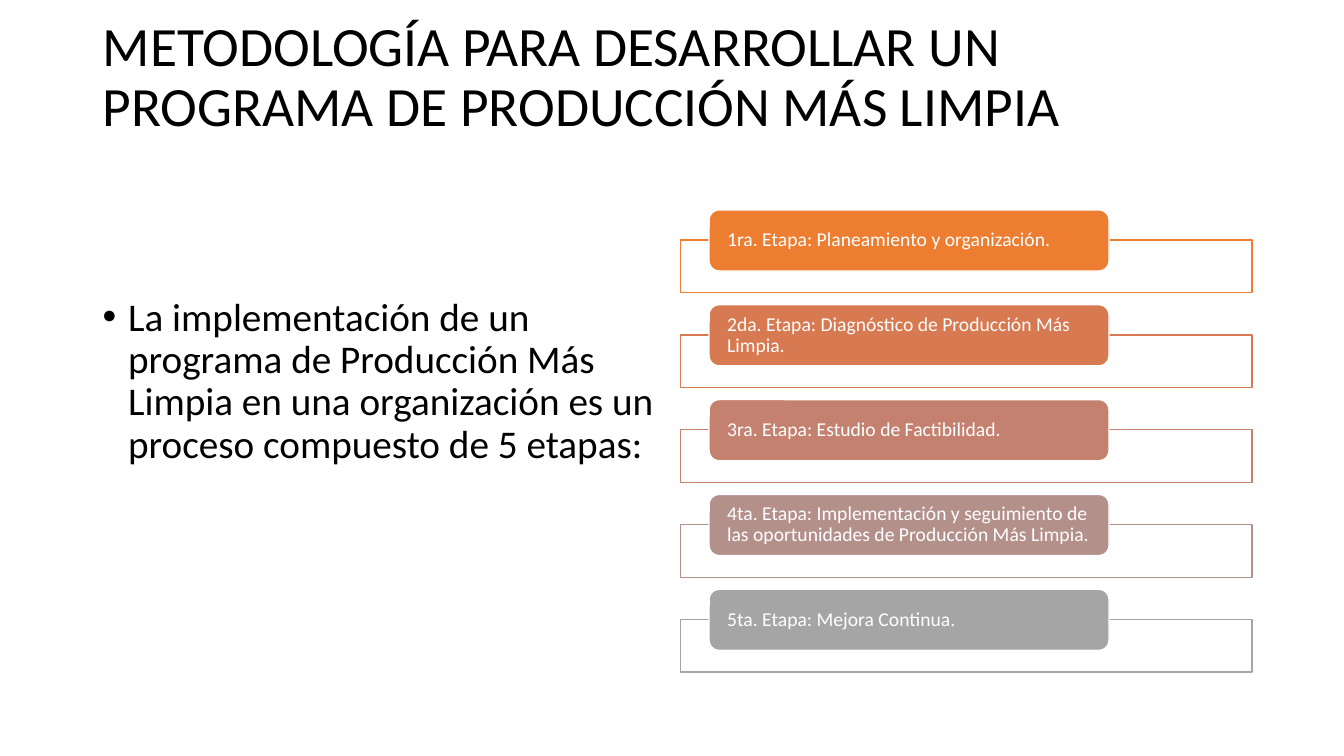
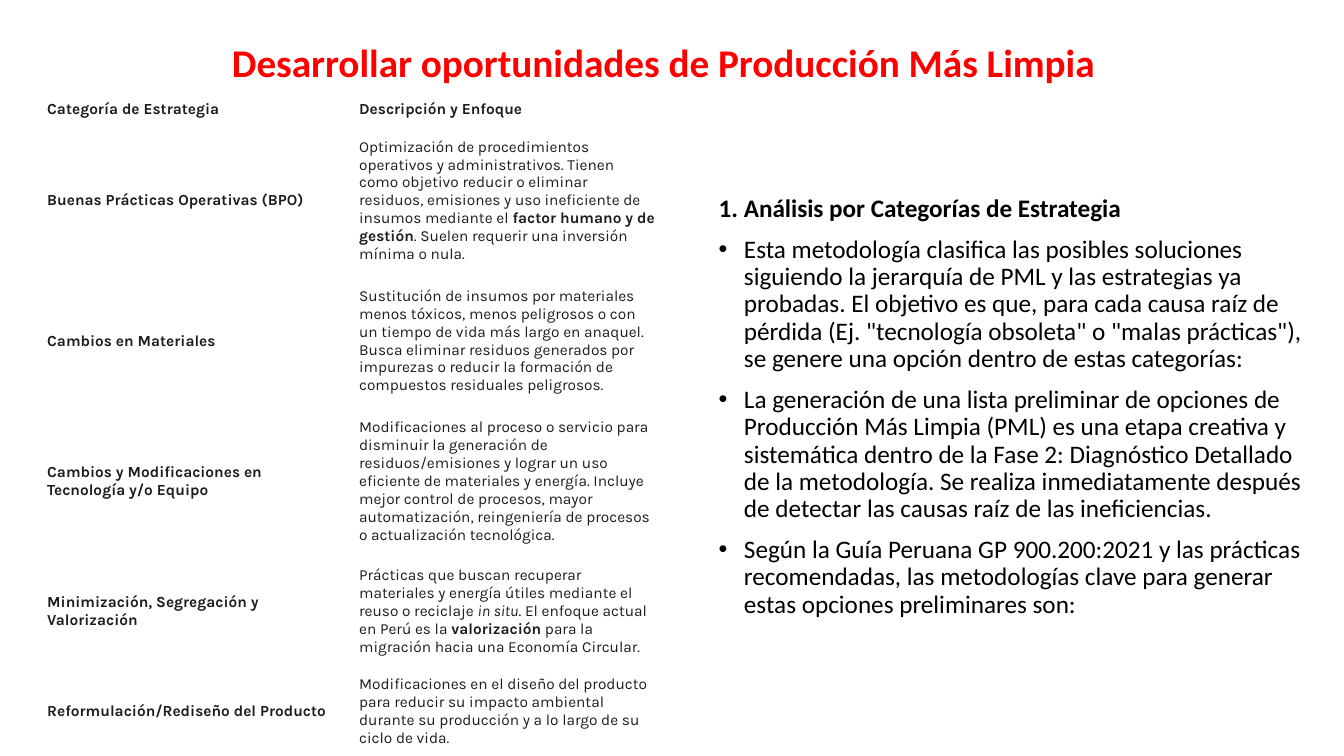
from lxml import etree
from pptx import Presentation
from pptx.dml.color import RGBColor
from pptx.enum import shapes, text
from pptx.oxml import ns
from pptx.util import Cm, Pt

BLACK, WHITE, RED, INK = "000000", "FFFFFF", "FF0000", "1B1C1D"
BODY_FONT, TABLE_FONT = "Calibri", "Karla"

STAGES = [
    ("1ra. Etapa: Planeamiento y organización.", "ED7D31"),
    ("2da. Etapa: Diagnóstico de Producción Más Limpia.", "D87A51"),
    ("3ra. Etapa: Estudio de Factibilidad.", "C48170"),
    ("4ta. Etapa: Implementación y seguimiento de las oportunidades "
     "de Producción Más Limpia.", "B4908B"),
    ("5ta. Etapa: Mejora Continua.", "A5A5A5"),
]

# Each row: height in cm, then two cells made of (text, style) runs
STRATEGIES = [
    (0.81, [("Categoría de Estrategia", "b")], [("Descripción y Enfoque", "b")]),
    (3.78, [("Buenas Prácticas Operativas (BPO)", "b")], [
        ("Optimización de procedimientos operativos y administrativos. Tienen como "
         "objetivo reducir o eliminar residuos, emisiones y uso ineficiente de "
         "insumos mediante el ", ""),
        ("factor humano y de gestión", "b"),
        (". Suelen requerir una inversión mínima o nula.", "")]),
    (3.28, [("Cambios en Materiales", "b")], [
        ("Sustitución de insumos por materiales menos tóxicos, menos peligrosos o con "
         "un tiempo de vida más largo en anaquel. Busca eliminar residuos generados "
         "por impurezas o reducir la formación de compuestos residuales "
         "peligrosos.", "")]),
    (3.78, [("Cambios y Modificaciones en Tecnología y/o Equipo", "b")], [
        ("Modificaciones al proceso o servicio para disminuir la generación de "
         "residuos/emisiones y lograr un uso eficiente de materiales y energía. "
         "Incluye mejor control de procesos, mayor automatización, reingeniería de "
         "procesos o actualización tecnológica.", "")]),
    (2.77, [("Minimización, Segregación y Valorización", "b")], [
        ("Prácticas que buscan recuperar materiales y energía útiles mediante el "
         "reuso o reciclaje ", ""),
        ("in situ", "i"),
        (". El enfoque actual en Perú es la ", ""),
        ("valorización", "b"),
        (" para la migración hacia una Economía Circular.", "")]),
    (2.29, [("Reformulación/Rediseño del Producto", "b")], [
        ("Modificaciones en el diseño del producto para reducir su impacto ambiental "
         "durante su producción y a lo largo de su ciclo de vida.", "")]),
]

ANALYSIS_HEADING = "1. Análisis por Categorías de Estrategia"
ANALYSIS_POINTS = [
    "Esta metodología clasifica las posibles soluciones siguiendo la jerarquía de PML "
    "y las estrategias ya probadas. El objetivo es que, para cada causa raíz de "
    "pérdida (Ej. \"tecnología obsoleta\" o \"malas prácticas\"), se genere una opción "
    "dentro de estas categorías:",
    "La generación de una lista preliminar de opciones de Producción Más Limpia (PML) "
    "es una etapa creativa y sistemática dentro de la Fase 2: Diagnóstico Detallado de "
    "la metodología. Se realiza inmediatamente después de detectar las causas raíz de "
    "las ineficiencias.",
    "Según la Guía Peruana GP 900.200:2021 y las prácticas recomendadas, las "
    "metodologías clave para generar estas opciones preliminares son:",
]


def rgb(value):
    return RGBColor.from_string(value)


def style_font(font, size, color, name=BODY_FONT, bold=False, italic=False):
    font.name, font.size, font.bold, font.italic = name, Pt(size), bold, italic
    font.color.rgb = rgb(color)


def add_bullet(paragraph):
    properties = paragraph._p.get_or_add_pPr()
    properties.set("marL", str(Cm(0.64)))
    properties.set("indent", str(-Cm(0.64)))
    etree.SubElement(properties, ns.qn("a:buFont")).set("typeface", "Arial")
    etree.SubElement(properties, ns.qn("a:buChar")).set("char", "•")


class Deck:
    """Presentation, its shared style and the slide being filled."""

    def __init__(self):
        self.presentation = Presentation()
        self.presentation.slide_width = Cm(33.87)
        self.presentation.slide_height = Cm(19.05)
        self.slide = None

    def new_slide(self):
        self.slide = self.presentation.slides.add_slide(
            self.presentation.slide_layouts[6])

    def text_frame(self, left, top, width, height):
        box = self.slide.shapes.add_textbox(Cm(left), Cm(top), Cm(width), Cm(height))
        box.text_frame.word_wrap = True
        return box.text_frame

    def title(self, wording, area, size, color=BLACK, bold=False,
              align=text.PP_ALIGN.LEFT):
        frame = self.text_frame(*area)
        frame.vertical_anchor = text.MSO_ANCHOR.MIDDLE
        frame.text = wording
        line = frame.paragraphs[0]
        line.alignment, line.line_spacing = align, 0.9
        style_font(line.runs[0].font, size, color, bold=bold)

    def body(self, points, area, size, heading=None):
        """Bulleted points, under an optional bold heading."""
        frame = self.text_frame(*area)
        for i, wording in enumerate([heading] * bool(heading) + points):
            paragraph = frame.add_paragraph() if i else frame.paragraphs[0]
            paragraph.text = wording
            is_heading = wording == heading
            if not is_heading:
                add_bullet(paragraph)
            paragraph.line_spacing = 0.9
            if i:
                paragraph.space_before = Pt(10)
            style_font(paragraph.runs[0].font, size, BLACK, bold=is_heading)

    def box(self, kind, area, fill, line):
        shape = self.slide.shapes.add_shape(kind, *map(Cm, area))
        shape.shadow.inherit = False
        shape.fill.solid()
        shape.fill.fore_color.rgb = rgb(fill)
        shape.line.color.rgb = rgb(line)
        shape.line.width = Pt(1)
        return shape

    def stage(self, wording, color, top):
        """Outlined frame with a rounded label over its upper edge."""
        self.box(shapes.MSO_SHAPE.RECTANGLE, (17.15, top + 0.76, 14.4, 1.33),
                 WHITE, color)
        label = self.box(shapes.MSO_SHAPE.ROUNDED_RECTANGLE,
                         (17.87, top, 10.08, 1.54), color, WHITE)
        frame = label.text_frame
        frame.word_wrap = True
        frame.vertical_anchor = text.MSO_ANCHOR.MIDDLE
        # The rounded corners already inset the text a little
        frame.margin_left, frame.margin_right = Cm(0.38), Cm(0.3)
        frame.margin_top = frame.margin_bottom = 0
        frame.text = wording
        line = frame.paragraphs[0]
        line.alignment, line.line_spacing = text.PP_ALIGN.LEFT, 0.9
        style_font(line.runs[0].font, 14, WHITE)

    def table(self, rows, left, top, column_width):
        columns = len(rows[0]) - 1
        table = self.slide.shapes.add_table(
            len(rows), columns, Cm(left), Cm(top), Cm(column_width * columns),
            Cm(sum(row[0] for row in rows))).table
        table.first_row = table.horz_banding = False
        for column in table.columns:
            column.width = Cm(column_width)
        for row, (height, *contents) in zip(table.rows, rows):
            row.height = Cm(height)
            for cell, runs in zip(row.cells, contents):
                self.fill_cell(cell, runs)

    def fill_cell(self, cell, runs):
        cell.fill.background()
        cell.vertical_anchor = text.MSO_ANCHOR.MIDDLE
        cell.margin_left = cell.margin_right = Cm(0.2)
        cell.margin_top = cell.margin_bottom = Cm(0.13)
        for wording, style in runs:
            run = cell.text_frame.paragraphs[0].add_run()
            run.text = wording
            style_font(run.font, 11, INK, TABLE_FONT, style == "b", style == "i")


def main():
    deck = Deck()

    deck.new_slide()
    deck.title("METODOLOGÍA PARA DESARROLLAR UN PROGRAMA DE PRODUCCIÓN MÁS LIMPIA",
               (2.34, 1.02, 29.21, 1.9), 39.6)
    deck.body(["La implementación de un programa de Producción Más Limpia en una "
               "organización es un proceso compuesto de 5 etapas:"],
              (2.34, 7.37, 14.4, 5.72), 28)
    for i, (wording, color) in enumerate(STAGES):
        deck.stage(wording, color, 5.29 + 2.39 * i)

    deck.new_slide()
    deck.title("Desarrollar oportunidades de Producción Más Limpia",
               (2.11, 0.46, 29.21, 2.36), 28, RED, True, text.PP_ALIGN.CENTER)
    deck.table(STRATEGIES, 0.99, 2.36, 7.86)
    deck.body(ANALYSIS_POINTS, (17.86, 4.8, 15.39, 13.39), 18, ANALYSIS_HEADING)

    deck.presentation.save("out.pptx")


if __name__ == "__main__":
    main()
